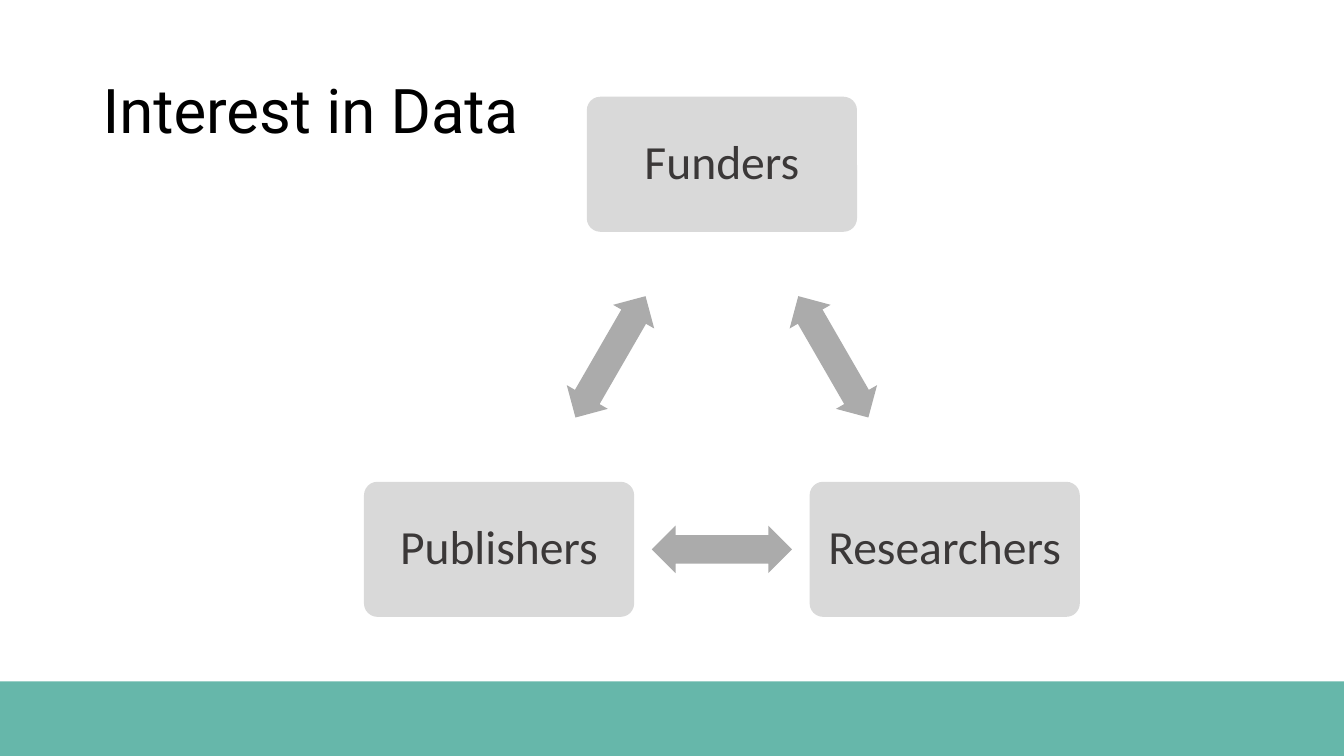
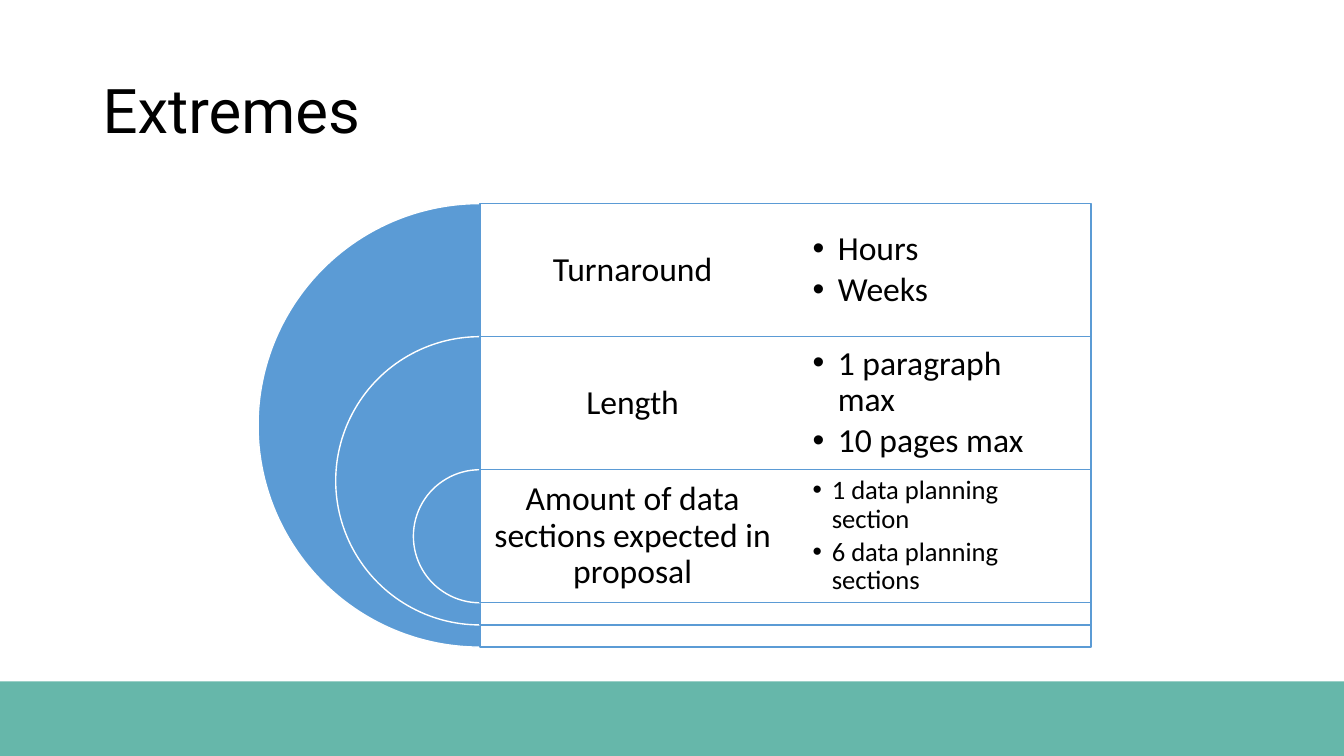
from dataclasses import dataclass
from math import atan2, degrees

from lxml import etree
from pptx import Presentation
from pptx.dml.color import RGBColor
from pptx.enum.shapes import MSO_SHAPE
from pptx.enum.text import MSO_ANCHOR, PP_ALIGN
from pptx.oxml.ns import qn
from pptx.util import Inches, Pt

RECTANGLE = MSO_SHAPE.RECTANGLE
ROUNDED = MSO_SHAPE.ROUNDED_RECTANGLE
DOUBLE_ARROW = MSO_SHAPE.LEFT_RIGHT_ARROW
PIE = MSO_SHAPE.PIE
MIDDLE = MSO_ANCHOR.MIDDLE
LEFT, CENTER = PP_ALIGN.LEFT, PP_ALIGN.CENTER


@dataclass(frozen=True)
class Theme:
    """Colours, fonts and type sizes of the deck."""
    band: str = "319F8D"
    black: str = "000000"
    white: str = "FFFFFF"
    node: str = "D9D9D9"
    node_text: str = "3B3838"
    arrow: str = "ABABAB"
    blue: str = "5B9BD5"
    title_font: str = "Roboto"
    body_font: str = "Calibri"
    title_size: int = 44
    node_size: int = 34
    body_size: int = 24
    small_size: int = 19


@dataclass(frozen=True)
class Area:
    """A rectangle on the page, in inches."""
    left: float
    top: float
    width: float
    height: float

    def lengths(self) -> list:
        """Return the four measures as lengths."""
        return [Inches(v) for v in (self.left, self.top, self.width, self.height)]


@dataclass(frozen=True)
class TextStyle:
    """Look of all paragraphs in one text frame."""
    size: int
    font: str
    color: str
    align: PP_ALIGN = CENTER
    inset: float = 0.1
    after: float = 0
    hanging: float = 0


@dataclass(frozen=True)
class Node:
    """One party in the cycle, placed by its centre."""
    label: str
    x: float
    y: float


@dataclass(frozen=True)
class Level:
    """One row of the nested half circles."""
    label: str
    bullets: tuple
    bullet_style: TextStyle


THEME = Theme()
TITLE = TextStyle(THEME.title_size, THEME.title_font, THEME.black, LEFT)
NODE_TEXT = TextStyle(THEME.node_size, THEME.body_font, THEME.node_text, inset=0.05)
LABEL = TextStyle(THEME.body_size, THEME.body_font, THEME.black)
BULLET = TextStyle(THEME.body_size, THEME.body_font, THEME.black, LEFT, 0.27, 0.15, 0.25)
SMALL_BULLET = TextStyle(THEME.small_size, THEME.body_font, THEME.black, LEFT, 0.27, 0.15, 0.19)

PAGE_WIDTH, PAGE_HEIGHT = 13.33, 7.5
BAND_AREA = Area(0, 6.76, PAGE_WIDTH, PAGE_HEIGHT - 6.76)
TITLE_AREA = Area(0.92, 0.4, 11.5, 1.45)

NODE_WIDTH, NODE_HEIGHT = 2.68, 1.34
ARROW_LENGTH, ARROW_HEIGHT = 1.39, 0.47
NODES = (
    Node("Funders", 7.16, 1.63),
    Node("Researchers", 9.37, 5.45),
    Node("Publishers", 4.95, 5.45),
)

AXIS, LEVELS_TOP = 4.76, 2.02
ROW_HEIGHT, COLUMN_WIDTH = 1.32, 3.03
OUTER_DIAMETER, DIAMETER_STEP = 4.4, 1.54
LEVELS = (
    Level("Turnaround", ("Hours", "Weeks"), BULLET),
    Level("Length", ("1 paragraph max", "10 pages max"), BULLET),
    Level("Amount of data sections expected in proposal",
          ("1 data planning section", "6 data planning sections"), SMALL_BULLET),
)


def add_bullet(para, hanging: float) -> None:
    """Give a paragraph a round bullet and a hanging indent."""
    properties = para._p.get_or_add_pPr()
    properties.set("marL", str(Inches(hanging)))
    properties.set("indent", str(-Inches(hanging)))
    etree.SubElement(properties, qn("a:buFont")).set("typeface", "Arial")
    etree.SubElement(properties, qn("a:buChar")).set("char", "•")


def write_text(shape, lines: tuple, style: TextStyle) -> None:
    """Write one paragraph per line, centred vertically."""
    frame = shape.text_frame
    frame.word_wrap = True
    frame.vertical_anchor = MIDDLE
    frame.margin_left = frame.margin_right = Inches(style.inset)
    frame.margin_top = frame.margin_bottom = Inches(style.inset)
    for index, line in enumerate(lines):
        para = frame.add_paragraph() if index else frame.paragraphs[0]
        para.alignment = style.align
        para.line_spacing = 0.9
        para.space_after = Pt(style.size * style.after)
        if style.hanging:
            add_bullet(para, style.hanging)
        span = para.add_run()
        span.text = line
        span.font.size = Pt(style.size)
        span.font.name = style.font
        span.font.color.rgb = RGBColor.from_string(style.color)


def add_text(page, area: Area, lines: tuple, style: TextStyle) -> None:
    """Add a text box."""
    write_text(page.shapes.add_textbox(*area.lengths()), lines, style)


def add_box(page, kind: MSO_SHAPE, area: Area, fill: str, line: str = "",
            opacity: int = 100, adjustments: tuple = ()):
    """Add a flat preset shape and return it."""
    box = page.shapes.add_shape(kind, *area.lengths())
    box.shadow.inherit = False
    box.fill.solid()
    box.fill.fore_color.rgb = RGBColor.from_string(fill)
    if opacity < 100:
        color = box.fill._xPr.find(qn("a:solidFill"))[0]
        etree.SubElement(color, qn("a:alpha")).set("val", str(opacity * 1000))
    if line:
        box.line.color.rgb = RGBColor.from_string(line)
        box.line.width = Pt(1)
    else:
        box.line.fill.background()
    for index, value in enumerate(adjustments):
        box.adjustments[index] = value
    return box


def add_page(deck, title: str):
    """Add a page with the shared band and title."""
    page = deck.slides.add_slide(deck.slide_layouts[6])
    add_box(page, RECTANGLE, BAND_AREA, THEME.band, opacity=74)
    add_text(page, TITLE_AREA, (title,), TITLE)
    return page


def centred(x: float, y: float, width: float, height: float) -> Area:
    """Return the area with the given centre and size."""
    return Area(x - width / 2, y - height / 2, width, height)


def add_node(page, node: Node) -> None:
    """Draw one party of the cycle."""
    area = centred(node.x, node.y, NODE_WIDTH, NODE_HEIGHT)
    box = add_box(page, ROUNDED, area, THEME.node, adjustments=(0.1,))
    write_text(box, (node.label,), NODE_TEXT)


def add_link(page, start: Node, end: Node) -> None:
    """Draw a double arrow halfway between two nodes."""
    area = centred((start.x + end.x) / 2, (start.y + end.y) / 2,
                   ARROW_LENGTH, ARROW_HEIGHT)
    arrow = add_box(page, DOUBLE_ARROW, area, THEME.arrow, adjustments=(0.6, 0.5))
    arrow.rotation = round(degrees(atan2(end.y - start.y, end.x - start.x))) % 360


def add_level(page, index: int, level: Level) -> None:
    """Draw a half circle with its frame, label and bullets."""
    top = LEVELS_TOP + index * ROW_HEIGHT
    diameter = OUTER_DIAMETER - index * DIAMETER_STEP
    add_box(page, PIE, Area(AXIS - diameter / 2, top, diameter, diameter),
            THEME.blue, THEME.white, adjustments=(54, 162))
    add_box(page, RECTANGLE, Area(AXIS, top, 2 * COLUMN_WIDTH, diameter),
            THEME.white, THEME.blue, opacity=90)
    add_text(page, Area(AXIS, top, COLUMN_WIDTH, ROW_HEIGHT), (level.label,), LABEL)
    add_text(page, Area(AXIS + COLUMN_WIDTH, top, COLUMN_WIDTH, ROW_HEIGHT),
             level.bullets, level.bullet_style)


def build_interest(deck) -> None:
    """Build the cycle of parties interested in data."""
    page = add_page(deck, "Interest in Data")
    for node, following in zip(NODES, NODES[1:] + NODES[:1]):
        add_node(page, node)
        add_link(page, node, following)


def build_extremes(deck) -> None:
    """Build the nested levels of extremes."""
    page = add_page(deck, "Extremes")
    for index, level in enumerate(LEVELS):
        add_level(page, index, level)


def main() -> None:
    """Build and save the deck."""
    deck = Presentation()
    deck.slide_width, deck.slide_height = Inches(PAGE_WIDTH), Inches(PAGE_HEIGHT)
    build_interest(deck)
    build_extremes(deck)
    deck.save("out.pptx")


main()
